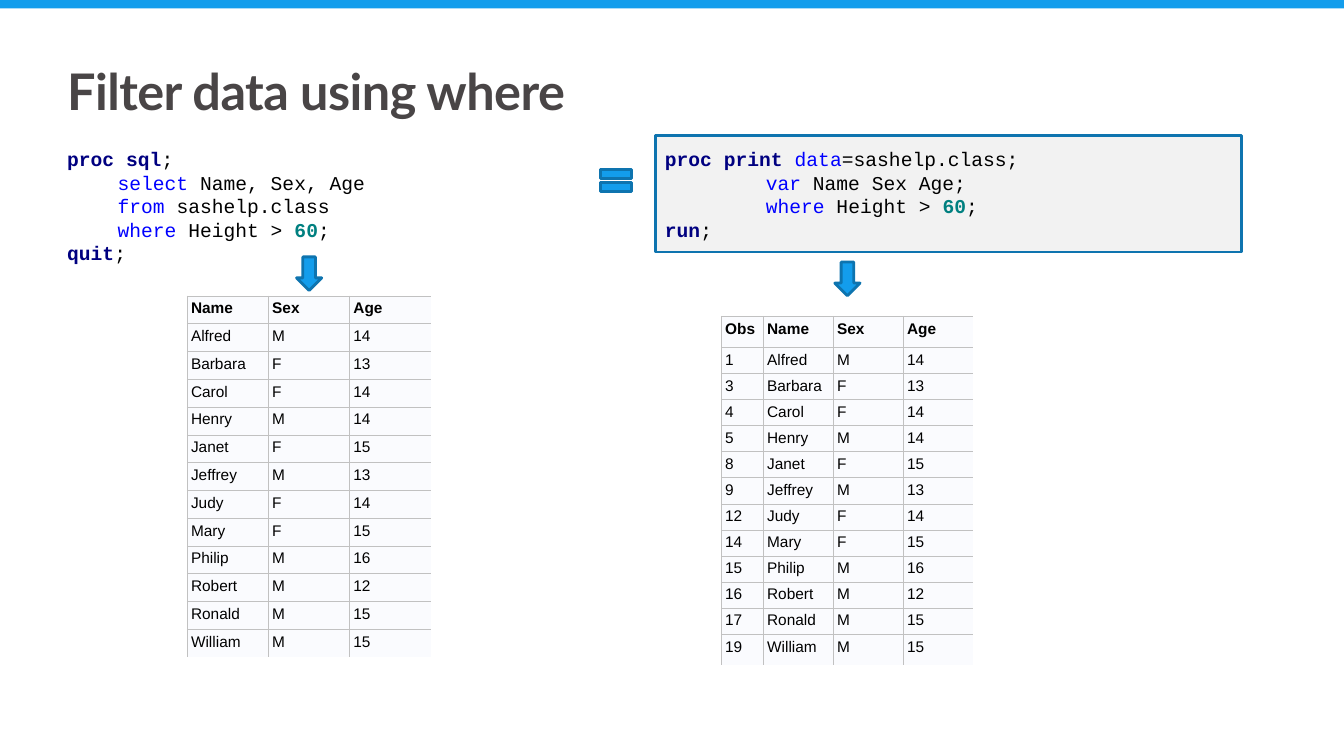
from lxml.etree import SubElement
from pptx import Presentation
from pptx.dml.color import RGBColor
from pptx.enum.shapes import MSO_SHAPE as Preset
from pptx.enum.text import MSO_ANCHOR as Anchor
from pptx.oxml.ns import qn
from pptx.util import Pt

BLUE, DARK_BLUE = "139DEC", "0E74AF"
STEP, KEYWORD, NUMBER, PLAIN = (
    ("000080", True), ("0000FF", False), ("008080", True), ("000000", False))

WHERE = [("where", KEYWORD), (" Height > ", PLAIN), ("60", NUMBER), (";", PLAIN)]
# Each line of code: whether it is indented, then its coloured pieces
SQL_CODE = [
    (False, [("proc sql", STEP), (";", PLAIN)]),
    (True, [("select", KEYWORD), (" Name, Sex, Age", PLAIN)]),
    (True, [("from ", KEYWORD), ("sashelp.class", PLAIN)]),
    (True, WHERE),
    (False, [("quit", STEP), (";", PLAIN)]),
]
PRINT_CODE = [
    (False, [("proc print ", STEP), ("data", KEYWORD), ("=sashelp.class;", PLAIN)]),
    (True, [("var", KEYWORD), (" Name Sex Age;", PLAIN)]),
    (True, WHERE),
    (False, [("run", STEP), (";", PLAIN)]),
]
STUDENTS = [
    ("Obs", "Name", "Sex", "Age"),
    ("1", "Alfred", "M", "14"),
    ("3", "Barbara", "F", "13"),
    ("4", "Carol", "F", "14"),
    ("5", "Henry", "M", "14"),
    ("8", "Janet", "F", "15"),
    ("9", "Jeffrey", "M", "13"),
    ("12", "Judy", "F", "14"),
    ("14", "Mary", "F", "15"),
    ("15", "Philip", "M", "16"),
    ("16", "Robert", "M", "12"),
    ("17", "Ronald", "M", "15"),
    ("19", "William", "M", "15"),
]


def rgb(color):
    return RGBColor.from_string(color)


class Page:
    """The slide being built, with its fonts and colours."""
    title_font, code_font, table_font = "Lato", "Courier New", "Arial"
    title_color, cell_color, grid_color = "494546", "FAFBFE", "C1C1C1"

    def __init__(self, slide):
        self.shapes = slide.shapes

    def shape(self, preset, left, top, width, height, fill, line=None, rotation=0):
        shape = self.shapes.add_shape(preset, Pt(left), Pt(top), Pt(width), Pt(height))
        shape.shadow.inherit = False
        shape.rotation = rotation
        shape.fill.solid()
        shape.fill.fore_color.rgb = rgb(fill)
        if line:
            shape.line.color.rgb = rgb(line)
            shape.line.width = Pt(2)
        else:
            shape.line.fill.background()

    def text_frame(self, left, top, width, height):
        """Add a text box without margins and return its frame."""
        frame = self.shapes.add_textbox(
            Pt(left), Pt(top), Pt(width), Pt(height)).text_frame
        frame.word_wrap = True
        frame.margin_left = frame.margin_right = 0
        frame.margin_top = frame.margin_bottom = 0
        return frame

    def style(self, run, font, size, color, bold):
        run.font.name = font
        run.font.size = Pt(size)
        run.font.color.rgb = rgb(color)
        run.font.bold = bold

    def title(self, text, left, top, width, height):
        frame = self.text_frame(left, top, width, height)
        frame.vertical_anchor = Anchor.MIDDLE
        frame.text = text
        run = frame.paragraphs[0].runs[0]
        self.style(run, self.title_font, 36, self.title_color, True)
        run.font._element.set("spc", "-40")

    def code(self, lines, left, top, width, height, indent):
        frame = self.text_frame(left, top, width, height)
        for number, (indented, pieces) in enumerate(lines):
            paragraph = frame.add_paragraph() if number else frame.paragraphs[0]
            paragraph.line_spacing = Pt(16.85)
            if indented:
                paragraph._p.get_or_add_pPr().set("marL", str(Pt(indent)))
            for text, (color, bold) in pieces:
                run = paragraph.add_run()
                run.text = text
                self.style(run, self.code_font, 14, color, bold)

    def borders(self, cell, last_column, last_row):
        """Draw a cell's grid lines, open at the table's right and bottom."""
        properties = cell._tc.get_or_add_tcPr()
        for side, visible in (("L", True), ("R", not last_column),
                              ("T", True), ("B", not last_row)):
            line = SubElement(properties, qn(f"a:ln{side}"), w=str(Pt(0.75)))
            if visible:
                fill = SubElement(line, qn("a:solidFill"))
                SubElement(fill, qn("a:srgbClr"), val=self.grid_color)
            else:
                SubElement(line, qn("a:noFill"))

    def table(self, rows, left, top, widths, heights):
        table = self.shapes.add_table(
            len(rows), len(widths), Pt(left), Pt(top),
            Pt(sum(widths)), Pt(sum(heights))).table
        table.first_row = table.horz_banding = False
        for column, width in zip(table.columns, widths):
            column.width = Pt(width)
        for r, (row, height) in enumerate(zip(rows, heights)):
            table.rows[r].height = Pt(height)
            for c, text in enumerate(row):
                cell = table.cell(r, c)
                cell.margin_left = cell.margin_right = Pt(2.7)
                cell.margin_top = cell.margin_bottom = Pt(2.7)
                self.borders(cell, c == len(widths) - 1, r == len(rows) - 1)
                cell.fill.solid()
                cell.fill.fore_color.rgb = rgb(self.cell_color)
                cell.text = text
                self.style(cell.text_frame.paragraphs[0].runs[0],
                           self.table_font, 11, "000000", r == 0)


def main():
    deck = Presentation()
    deck.slide_width, deck.slide_height = Pt(960), Pt(540)
    page = Page(deck.slides.add_slide(deck.slide_layouts[6]))

    page.shape(Preset.RECTANGLE, 0, 0, 960, 6, BLUE)
    page.shape(Preset.RECTANGLE, 468, 97, 419, 83, "F2F2F2", DARK_BLUE)
    page.title("Filter data using where", 48, 42, 864, 45)
    page.code(SQL_CODE, 48, 105, 370, 86, indent=36)
    page.code(PRINT_CODE, 475, 105, 405, 69, indent=72)

    names_only = [row[1:] for row in STUDENTS]
    page.table(names_only, 133.75, 211.5, [58] * 3, [19.85] * len(STUDENTS))
    page.table(STUDENTS, 515.25, 226, [30, 50, 50, 50],
               [22.25] + [18.05] * (len(STUDENTS) - 2) + [22.25])

    for left, top in ((208.8, 186.5), (593.3, 190.2)):
        page.shape(Preset.RIGHT_ARROW, left, top, 24, 18, BLUE, DARK_BLUE, rotation=90)
    page.shape(Preset.MATH_EQUAL, 425, 115.75, 30, 26.5, BLUE, DARK_BLUE)

    deck.save("out.pptx")


if __name__ == "__main__":
    main()
